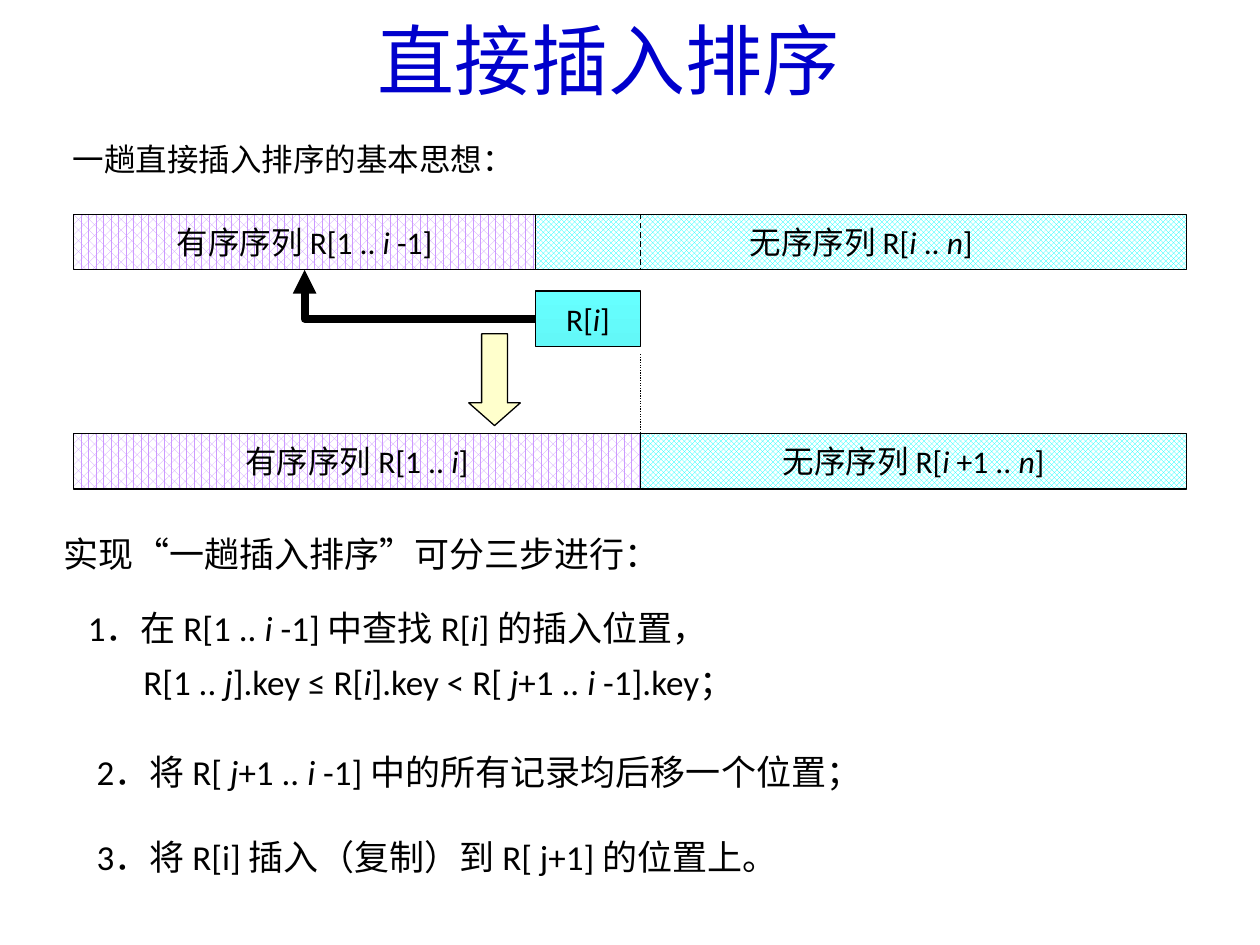
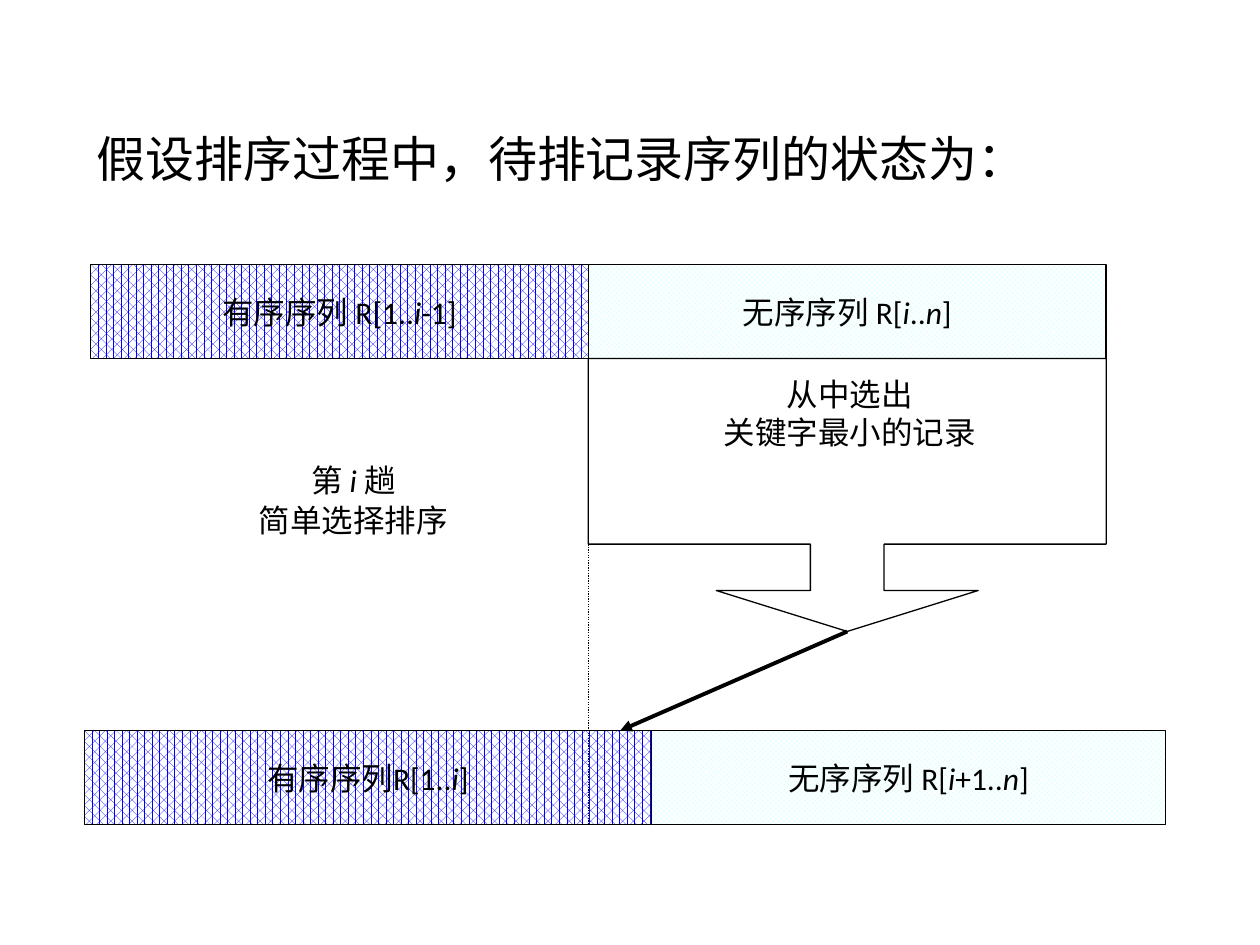
from lxml import etree
from pptx import Presentation
from pptx import util as u
from pptx.dml import color
from pptx.enum import dml, shapes, text
from pptx.oxml import ns

LATIN = "Calibri"
CHINESE = "Noto Sans CJK SC"
BLACK = "000000"
TITLE_BLUE = "0000CC"
CENTER = text.PP_ALIGN.CENTER
TOP = text.MSO_ANCHOR.TOP
MIDDLE = text.MSO_ANCHOR.MIDDLE
DASH = dml.MSO_LINE.DASH
DOTS = dml.MSO_LINE.ROUND_DOT


def rgb(value):
    return color.RGBColor.from_string(value)


def assign(target, values):
    for name, value in values.items():
        setattr(target, name, value)


def add_node(parent, tag, **attributes):
    return etree.SubElement(parent, ns.qn(tag), attributes)


class Slides:
    def __init__(self):
        self.deck = Presentation()
        assign(self.deck, {"slide_width": u.Cm(25.4), "slide_height": u.Cm(19.05)})
        self.page = None

    def new_page(self, title=None):
        layout = self.deck.slide_layouts[5 if title else 6]
        self.page = self.deck.slides.add_slide(layout)
        if title:
            box = self.page.shapes.title
            assign(box, {"left": u.Cm(0.84), "top": u.Cm(0.13),
                         "width": u.Cm(22.86), "height": u.Cm(3.18)})
            self.fill_text(box, [title], 44, CENTER, font=CHINESE, ink=TITLE_BLUE)

    def fill_text(self, box, lines, size=18, align=None, anchor=TOP, spacing=None,
                  font=LATIN, ink=BLACK, indents=()):
        frame = box.text_frame
        assign(frame, {"word_wrap": True, "vertical_anchor": anchor,
                       "auto_size": text.MSO_AUTO_SIZE.NONE})
        for index, line in enumerate(lines):
            para = frame.add_paragraph() if index else frame.paragraphs[0]
            assign(para, {"alignment": align, "line_spacing": spacing})
            if index < len(indents):
                para._p.get_or_add_pPr().set("marL", str(u.Cm(indents[index])))
            for order, part in enumerate(line.split("*")):
                if part:
                    self.add_span(para, part, size, font, ink, order % 2 == 1)

    def add_span(self, para, part, size, font, ink, italic):
        span = para.add_run()
        span.text = part
        assign(span.font, {"size": u.Pt(size), "name": font, "italic": italic})
        span.font.color.rgb = rgb(ink)
        add_node(span._r.get_or_add_rPr(), "a:ea", typeface=CHINESE)

    def label(self, left, top, width, height, lines, **style):
        box = self.page.shapes.add_textbox(*map(u.Cm, (left, top, width, height)))
        self.fill_text(box, lines, **style)

    def shape(self, kind, left, top, width, height, fill=None, adjust=()):
        box = self.page.shapes.add_shape(kind, *map(u.Cm, (left, top, width, height)))
        box.shadow.inherit = False
        box.line.color.rgb = rgb(BLACK)
        box.line.width = u.Pt(0.75)
        for index, value in enumerate(adjust):
            box.adjustments[index] = value
        if fill:
            box.fill.solid()
            box.fill.fore_color.rgb = rgb(fill)
        else:
            box.fill.background()
        return box

    def block(self, left, top, width, height, caption):
        box = self.shape(shapes.MSO_SHAPE.RECTANGLE, left, top, width, height)
        self.fill_text(box, [caption], align=CENTER, anchor=MIDDLE)
        return box.fill

    def sequence(self, top, height, edges, captions, inks):
        patterns = (dml.MSO_PATTERN.PERCENT_60, dml.MSO_PATTERN.TRELLIS)
        for left, right, caption, ink, pattern in zip(
                edges, edges[1:], captions, inks, patterns):
            fill = self.block(left, top, right - left, height, caption)
            fill.patterned()
            fill.pattern = pattern
            fill.fore_color.rgb = rgb(ink)
            fill.back_color.rgb = rgb("FFFFFF")

    def gradient_block(self, left, top, width, height, caption, inks):
        fill = self.block(left, top, width, height, caption)
        fill.gradient()
        fill.gradient_angle = 270
        for stop, ink, position in zip(fill.gradient_stops, inks, (0, 1)):
            stop.color.rgb = rgb(ink)
            stop.position = position

    def line(self, start, end, width=0.75, dash=None, arrow=False, bent=False):
        kind = shapes.MSO_CONNECTOR.ELBOW if bent else shapes.MSO_CONNECTOR.STRAIGHT
        line = self.page.shapes.add_connector(kind, *map(u.Cm, start + end))
        line.line.color.rgb = rgb(BLACK)
        assign(line.line, {"width": u.Pt(width), "dash_style": dash})
        properties = line.element.spPr
        if arrow:
            add_node(properties.find(ns.qn("a:ln")), "a:tailEnd", type="triangle")
        if bent:
            properties.find(ns.qn("a:prstGeom")).set("prst", "bentConnector2")
            frame = properties.find(ns.qn("a:xfrm"))
            frame.attrib.clear()
            frame.set("rot", "10800000")
        add_node(properties, "a:effectLst")


def insertion_page(slides):
    slides.new_page("直接插入排序")
    slides.label(1.22, 2.69, 12.65, 1.27, ["一趟直接插入排序的基本思想："], font=CHINESE)

    start, insert, split, end = 1.48, 10.8, 12.91, 23.92
    before, after, height = 4.32, 8.74, 1.12
    record_top = 5.87
    inks = ("CC99FF", "00FFFF")
    slides.sequence(before, height, (start, insert, end),
                    ("有序序列 R[1 .. *i *-1]", "无序序列 R[*i *.. *n*]"), inks)
    slides.sequence(after, height, (start, split, end),
                    ("有序序列 R[1 .. *i*]", "无序序列 R[*i* +1 .. *n*]"), inks)
    slides.gradient_block(insert, record_top, split - insert, height, "R[*i*]",
                          ("66FFFF", "63F8F8"))
    slides.line((insert, record_top + height / 2),
                ((start + insert) / 2, before + height),
                width=4.5, arrow=True, bent=True)
    slides.shape(shapes.MSO_SHAPE.DOWN_ARROW, 9.45, 6.73, 1.04, 1.85,
                 "FFFFCC", (0.5, 0.44))
    slides.line((split, before), (split, before + height), dash=DASH)
    slides.line((split, 7.14), (split, 8.99), dash=DOTS)

    slides.label(1.04, 10.44, 13.08, 1.19, ["实现“一趟插入排序”可分三步进行："],
                 size=20, spacing=1.2, font=CHINESE)
    steps = (
        (1.52, 11.84, 2.39, ["1．在 R[1 .. *i* -1] 中查找 R[*i*] 的插入位置，",
                             "R[1 .. *j*].key ≤ R[*i*].key < R[ *j*+1 .. *i* -1].key；"]),
        (1.7, 14.76, 1.27, ["2．将 R[ *j*+1 .. *i* -1] 中的所有记录均后移一个位置；"]),
        (1.7, 16.46, 1.27, ["3．将 R[i] 插入（复制）到 R[ j+1] 的位置上。"]),
    )
    for left, top, tall, lines in steps:
        slides.label(left, top, 22, tall, lines, size=20, spacing=1.3,
                     indents=(0, 1.12))


def selection_page(slides):
    slides.new_page()
    slides.label(1.7, 2.46, 19.46, 1.45, ["假设排序过程中，待排记录序列的状态为："], size=28)

    split, end = 11.86, 22.3
    before, after, height = 5.33, 14.73, 1.9
    callout_top, callout_height = before + height, 5.5
    inks = ("0000FF", "CCFFFF")
    slides.sequence(before, height, (1.83, split, end),
                    ("有序序列 R[1..*i*-1]", "无序序列 R[*i*..*n*]"), inks)
    slides.label(2.82, 9.14, 8.61, 2.39, ["第 *i* 趟", "简单选择排序"],
                 align=CENTER, spacing=1.05)
    slides.label(12.27, 7.44, 9.73, 2.79, ["从中选出", "关键字最小的记录"],
                 align=CENTER)
    slides.shape(shapes.MSO_SHAPE.DOWN_ARROW_CALLOUT, split, callout_top,
                 end - split, callout_height, adjust=(0.27, 0.48, 0.15, 0.68))
    slides.sequence(after, height, (1.7, 13.13, 23.5),
                    ("有序序列R[1..*i*]", "无序序列 R[*i*+1..*n*]"), inks)
    slides.line((split, 10.92), (split, after + height), dash=DOTS)
    slides.line(((split + end) / 2, callout_top + callout_height), (12.5, after),
                width=2.25, arrow=True)


slides = Slides()
insertion_page(slides)
selection_page(slides)
slides.deck.save("out.pptx")
